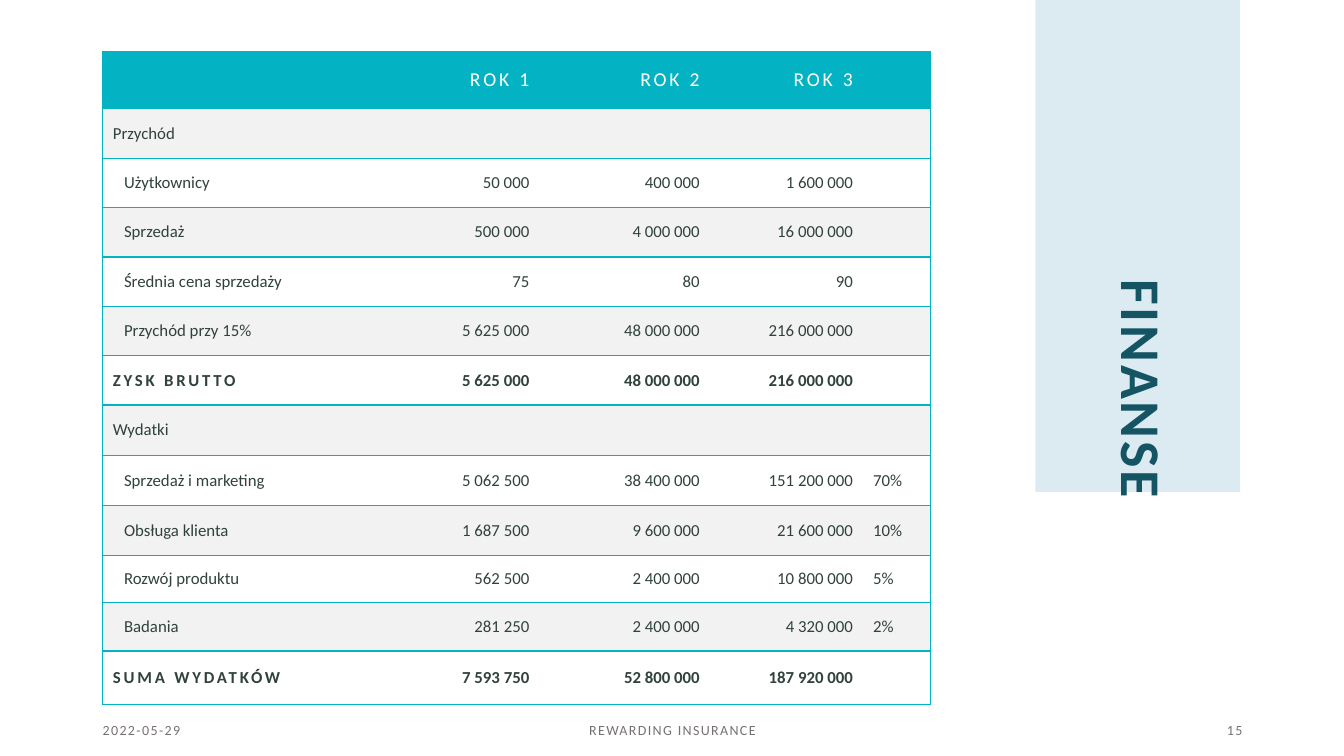
from pptx import Presentation
from pptx.dml.color import RGBColor
from pptx.enum.shapes import MSO_SHAPE
from pptx.enum.text import MSO_ANCHOR, PP_ALIGN
from pptx.oxml import parse_xml
from pptx.oxml.ns import nsdecls
from pptx.util import Inches, Pt

TEAL, NAVY, INK, GRAY = "04B3C3", "155463", "30423A", "767171"
WHITE, BAND, PALE = "FFFFFF", "F2F2F2", "DCEAF1"


def line(tag, color, width):
    fill = f'<a:solidFill><a:srgbClr val="{color}"/></a:solidFill>' if color else "<a:noFill/>"
    return parse_xml(f'<a:{tag} {nsdecls("a")} w="{Pt(width)}">{fill}</a:{tag}>')


def add_text(p, text, size, color, align=PP_ALIGN.LEFT, bold=False, spacing=0):
    p.alignment = align
    r = p.add_run()
    r.text = text
    r.font.name = "Calibri"
    r.font.size = Pt(size)
    r.font.bold = bold
    r.font.color.rgb = RGBColor.from_string(color)
    r.font._element.set("spc", str(spacing * 100))
    return r


prs = Presentation()
prs.slide_width, prs.slide_height = Inches(13.33), Inches(7.5)
s = prs.slides.add_slide(prs.slide_layouts[5])

title = s.shapes.title
title.left, title.top, title.width, title.height = Inches(9.11), Inches(4.3), Inches(4.35), Inches(1.09)
title.rotation = 90
tf = title.text_frame
tf.vertical_anchor = MSO_ANCHOR.MIDDLE
p = tf.paragraphs[0]
p.line_spacing = 0.8
r = add_text(p, "FINANSE", 40, NAVY, bold=True, spacing=2)
r.font._element.insert(0, line("ln", NAVY, 1.5))

bar = s.shapes.add_shape(MSO_SHAPE.RECTANGLE, Inches(10.27), Inches(0), Inches(2.03), Inches(4.88))
bar.shadow.inherit = False
bar.fill.solid()
bar.fill.fore_color.rgb = RGBColor.from_string(PALE)
bar.line.fill.background()
title.element.addprevious(bar.element)

rows = [
    ("header", "", ["ROK 1", "ROK 2", "ROK 3"], ""),
    ("section", "Przychód", [], ""),
    ("item", "Użytkownicy", [50000, 400000, 1600000], ""),
    ("item", "Sprzedaż", [500000, 4000000, 16000000], ""),
    ("item", "Średnia cena sprzedaży", [75, 80, 90], ""),
    ("item", "Przychód przy 15%", [5625000, 48000000, 216000000], ""),
    ("total", "ZYSK BRUTTO", [5625000, 48000000, 216000000], ""),
    ("section", "Wydatki", [], ""),
    ("item", "Sprzedaż i marketing", [5062500, 38400000, 151200000], "70%"),
    ("item", "Obsługa klienta", [1687500, 9600000, 21600000], "10%"),
    ("item", "Rozwój produktu", [562500, 2400000, 10800000], "5%"),
    ("item", "Badania", [281250, 2400000, 4320000], "2%"),
    ("total", "SUMA WYDATKÓW", [7593750, 52800000, 187920000], ""),
]
col_widths = [2.65, 1.68, 1.69, 1.52, 0.67]
row_heights = [0.57] + [0.49] * 6 + [0.5, 0.5, 0.49, 0.47, 0.48, 0.53]

table = s.shapes.add_table(len(rows), len(col_widths), Inches(1.02), Inches(0.51),
                           Inches(8.21), Inches(6.48)).table
for col, width in zip(table.columns, col_widths):
    col.width = Inches(width)

for i, (kind, label, values, share) in enumerate(rows):
    table.rows[i].height = Inches(row_heights[i])
    header, total = kind == "header", kind == "total"
    numbers = [v if header else f"{v:,}".replace(",", chr(160)) for v in values] or [""] * 3
    for j, text in enumerate([label, *numbers, share]):
        cell = table.cell(i, j)
        cell.vertical_anchor = MSO_ANCHOR.MIDDLE
        if j == 0 and kind == "item":
            cell.margin_left = Inches(0.21)
        tcPr = cell._tc.get_or_add_tcPr()
        for tag, color in (("lnL", TEAL if j == 0 else None), ("lnR", TEAL if j == 4 else None),
                           ("lnT", TEAL), ("lnB", TEAL)):
            tcPr.append(line(tag, color, 1))
        cell.fill.solid()
        cell.fill.fore_color.rgb = RGBColor.from_string(TEAL if header else BAND if i % 2 else WHITE)
        if text:
            add_text(cell.text_frame.paragraphs[0], text, 14 if header else 12,
                     WHITE if header else INK,
                     PP_ALIGN.RIGHT if 1 <= j <= 3 else PP_ALIGN.LEFT,
                     total, 2 if header or (total and j == 0) else 0)

for text, left, width, align in (
    ("2022-05-29", 0.92, 3, PP_ALIGN.LEFT),
    ("REWARDING INSURANCE", 4.42, 4.5, PP_ALIGN.CENTER),
    ("15", 9.42, 3, PP_ALIGN.RIGHT),
):
    tf = s.shapes.add_textbox(Inches(left), Inches(7.13), Inches(width), Inches(0.22)).text_frame
    tf.word_wrap = True
    tf.vertical_anchor = MSO_ANCHOR.MIDDLE
    add_text(tf.paragraphs[0], text, 10, GRAY, align, spacing=1)

prs.save("out.pptx")
